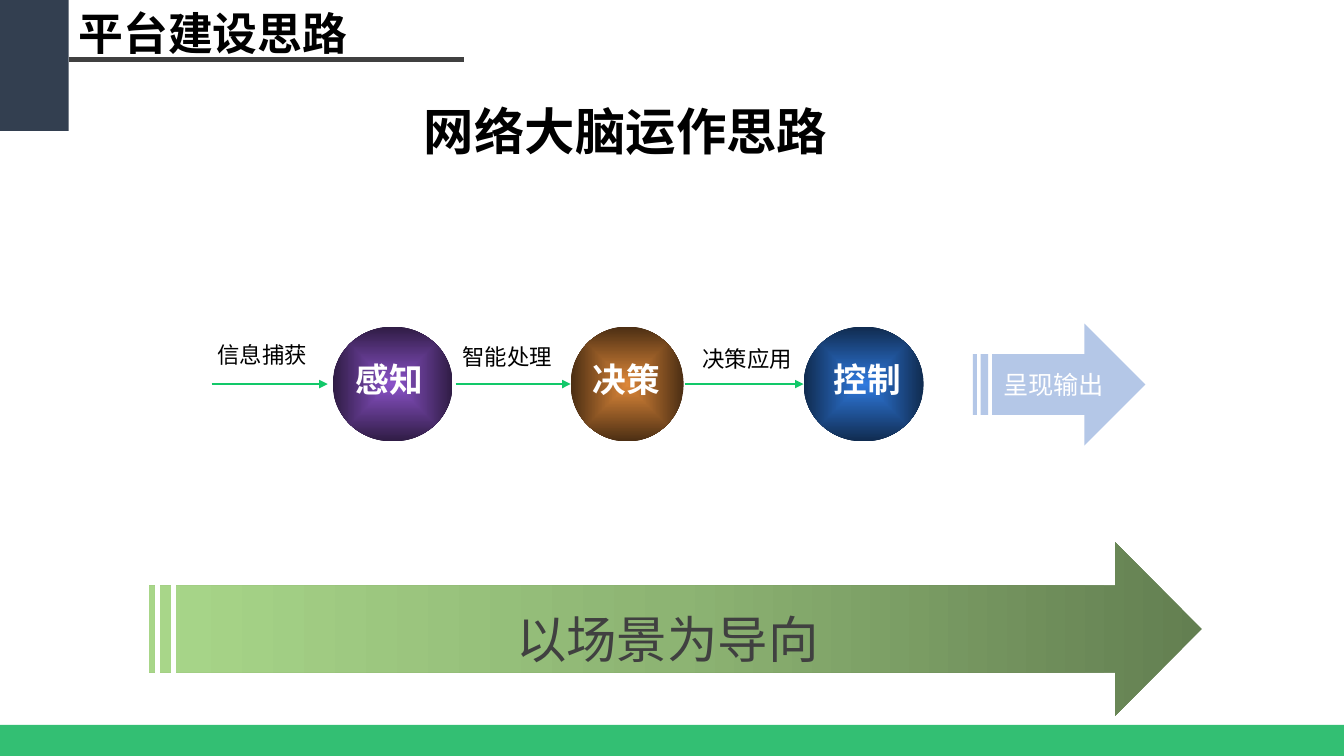
"""Build the slide on how the network brain operates."""
from lxml.etree import SubElement
from pptx import Presentation
from pptx.dml.color import RGBColor
from pptx.enum.shapes import MSO_CONNECTOR, MSO_SHAPE
from pptx.enum.text import MSO_ANCHOR, MSO_AUTO_SIZE, PP_ALIGN
from pptx.oxml import parse_xml
from pptx.oxml.ns import nsdecls, qn
from pptx.util import Pt

SCALE = 9144
COLOURS = {
    "slate": "333F50", "grey": "404040", "black": "000000", "white": "FFFFFF",
    "footer": "00B050", "flow": "12C869", "output": "B4C7E7",
    "dark green": "637F51", "green": "8DB473", "light green": "A8D689",
    "purple": "8A52C8", "dark purple": "2F1C44",
    "orange": "DD8739", "dark orange": "4B2E13",
    "blue": "2F7ADF", "dark blue": "102B4F",
}
CJK = "Noto Sans CJK SC"
CENTRE_PATH = '<a:path path="shape"><a:fillToRect l="50000" t="50000" r="50000" b="50000"/></a:path>'
LEFTWARD = '<a:lin ang="10800000" scaled="0"/>'

deck = Presentation()
deck.slide_width, deck.slide_height = 1333 * SCALE, 750 * SCALE
page = deck.slides.add_slide(deck.slide_layouts[6])


def write(box, text, size, font=CJK, colour="black", bold=False, align=None,
          anchor=MSO_ANCHOR.TOP, wrap=True, grow=False, spacing=None):
    frame = box.text_frame
    frame.word_wrap = wrap
    frame.vertical_anchor = anchor
    frame.auto_size = MSO_AUTO_SIZE.SHAPE_TO_FIT_TEXT if grow else MSO_AUTO_SIZE.NONE
    para = frame.paragraphs[0]
    para.alignment = align
    para.line_spacing = spacing
    span = para.add_run()
    span.text = text
    span.font.size = Pt(size)
    span.font.bold = bold
    span.font.name = font
    span.font.color.rgb = RGBColor.from_string(COLOURS[colour])
    SubElement(span.font._element, qn("a:ea"), typeface=CJK)


def draw(kind, place, colours, direction=""):
    shape = page.shapes.add_shape(kind, *(value * SCALE for value in place))
    shape.shadow.inherit = False
    shape.line.fill.background()
    if len(colours) == 1:
        shape.fill.solid()
        shape.fill.fore_color.rgb = RGBColor.from_string(COLOURS[colours[0]])
    else:
        stops = "".join(
            f'<a:gs pos="{100000 * index // (len(colours) - 1)}"><a:srgbClr val="{COLOURS[name]}"/></a:gs>'
            for index, name in enumerate(colours))
        shape._element.spPr.insert(2, parse_xml(
            f'<a:gradFill {nsdecls("a")} rotWithShape="1"><a:gsLst>{stops}</a:gsLst>{direction}</a:gradFill>'))
    return shape


draw(MSO_SHAPE.RECTANGLE, (0, 0, 68, 130), ["slate"])
footer = draw(MSO_SHAPE.RECTANGLE, (0, 719, 1333, 31), ["footer"])
footer_colour = footer._element.spPr.find(qn("a:solidFill")).find(qn("a:srgbClr"))
SubElement(footer_colour, qn("a:alpha"), val="80000")

scene = draw(MSO_SHAPE.STRIPED_RIGHT_ARROW, (148, 538, 1044, 172),
             ["dark green", "green", "light green"], LEFTWARD)
scene.text_frame.margin_left = scene.text_frame.margin_right = 7 * SCALE
scene.text_frame.margin_top = scene.text_frame.margin_bottom = 4 * SCALE
write(scene, "以场景为导向", 36, colour="grey", align=PP_ALIGN.CENTER, spacing=1.3)

output = draw(MSO_SHAPE.STRIPED_RIGHT_ARROW, (965, 321, 171, 121), ["output"])
write(output, "呈现输出", 18, font="Calibri", colour="white",
      align=PP_ALIGN.CENTER, anchor=MSO_ANCHOR.MIDDLE)

for left, width, hue in [(330, 119, "purple"), (566, 112, "orange"), (797, 119, "blue")]:
    draw(MSO_SHAPE.OVAL, (left, 324, width, 114), [hue, f"dark {hue}"], CENTRE_PATH)

for start, end, y, colour, weight in [
    (68, 460, 59, "grey", 3),
    (210, 325, 381, "flow", 2),
    (452, 566, 381, "flow", 2),
    (679, 797, 381, "flow", 2),
]:
    line = page.shapes.add_connector(
        MSO_CONNECTOR.STRAIGHT, start * SCALE, y * SCALE, end * SCALE, y * SCALE)
    line.line.color.rgb = RGBColor.from_string(COLOURS[colour])
    line.line.width = Pt(weight)
    if colour == "flow":
        SubElement(line.line._get_or_add_ln(), qn("a:tailEnd"), type="triangle")
    SubElement(line._element.spPr, qn("a:effectLst"))

heading = dict(size=32, bold=True, grow=True)
title = dict(size=36, font="Calibri", bold=True, align=PP_ALIGN.CENTER, anchor=MSO_ANCHOR.MIDDLE)
stage = dict(size=24, font="DejaVu Sans", colour="white", bold=True, grow=True)
step = dict(size=16, wrap=False, grow=True)
for text, place, style in [
    ("平台建设思路", (68, 1, 391, 64), heading),
    ("网络大脑运作思路", (344, 84, 553, 91), title),
    ("感知", (343, 351, 103, 51), stage),
    ("决策", (578, 351, 89, 51), stage),
    ("控制", (817, 351, 92, 51), stage),
    ("信息捕获", (206, 334, 110, 37), step),
    ("智能处理", (449, 336, 110, 37), step),
    ("决策应用", (687, 337, 110, 37), step),
]:
    box = page.shapes.add_textbox(*(value * SCALE for value in place))
    write(box, text, **style)

deck.save("out.pptx")
